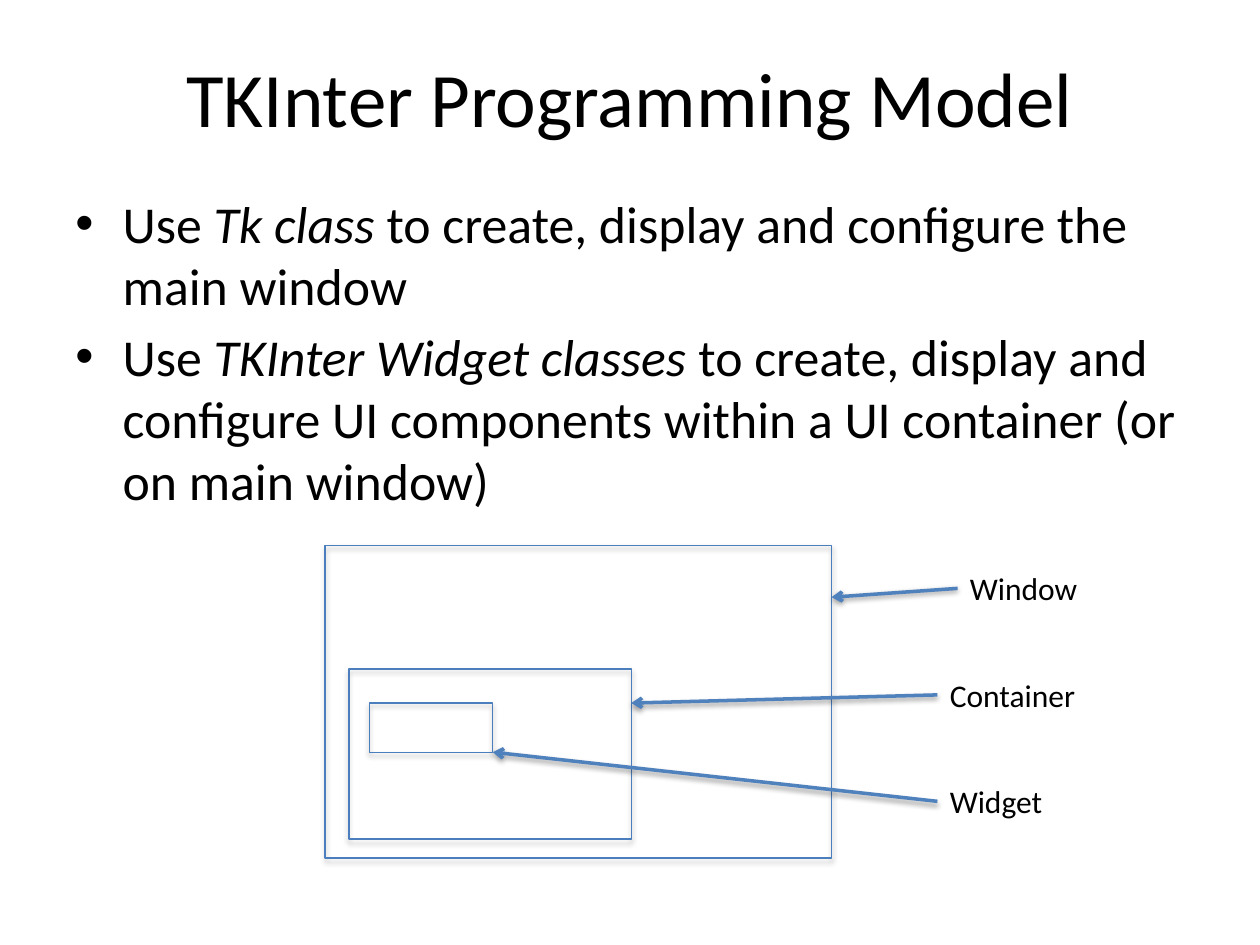
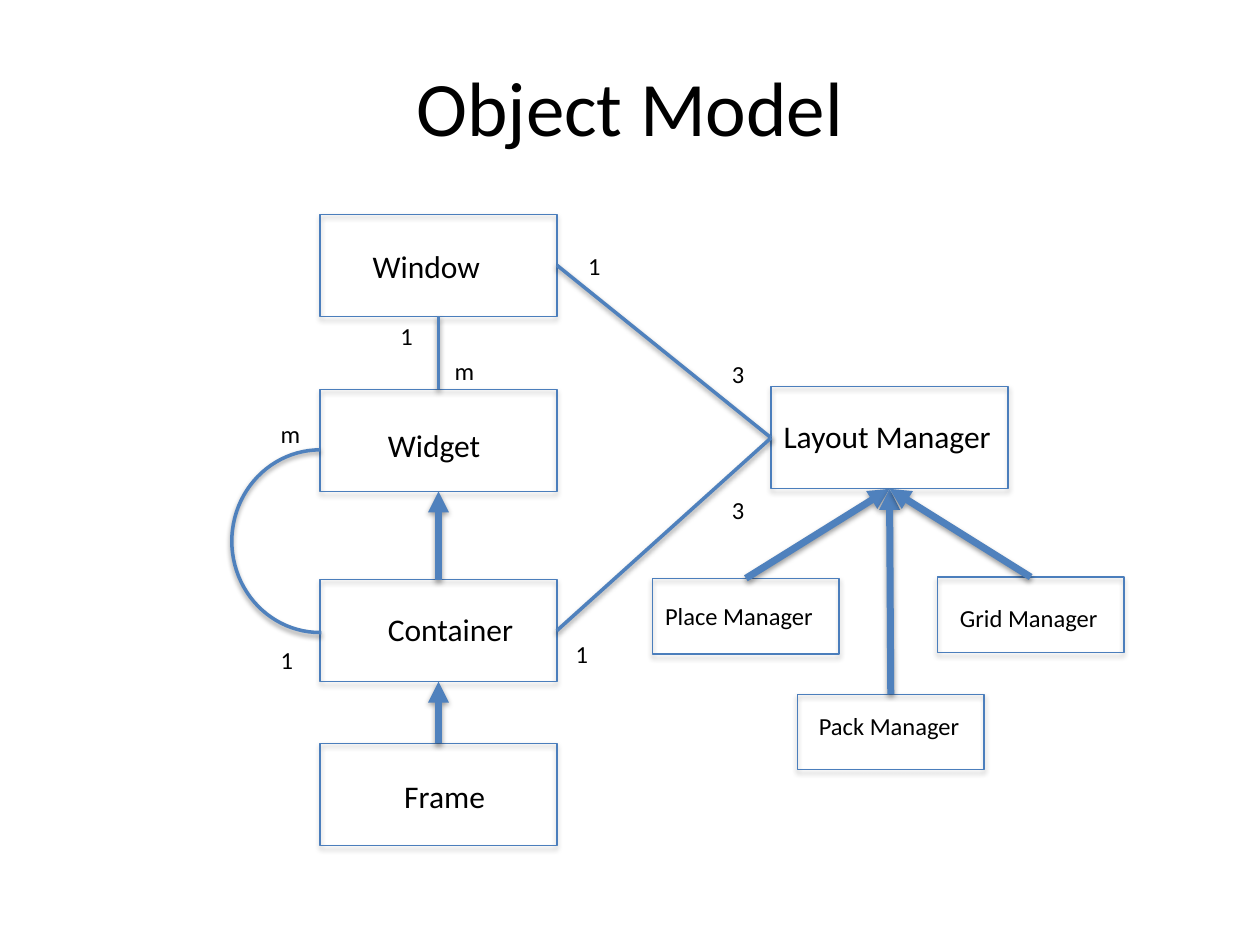
import dataclasses
import lxml.etree
import pptx
import pptx.dml.color
import pptx.enum.shapes
import pptx.enum.text
import pptx.oxml
import pptx.oxml.ns
import pptx.util

COLOURS = {"text": "000000", "outline": "4B7EBC", "link": "4F81BD", "shadow": "000000", "page": "FFFFFF"}
FONT = "Calibri"
SLIDE_WIDTH = pptx.util.Inches(10)
SLIDE_HEIGHT = pptx.util.Inches(7.5)
COLUMN = SLIDE_WIDTH / 100
ROW = SLIDE_HEIGHT / 75
BODY_SIZE, LABEL_SIZE, NOTE_SIZE = 29.6, 18, 14
LABEL_ROWS, NOTE_ROWS = 4, 3.4
TOP, LEFT, BOTTOM, RIGHT = range(4)


@dataclasses.dataclass
class Box:
    left: float
    top: float
    width: float
    height: float

    def inner(self, left, top, width, height):
        return Box(self.left + left, self.top + top, width, height)

    def point(self, left, top):
        return round((self.left + left) * COLUMN), round((self.top + top) * ROW)

    def frame(self):
        return (*self.point(0, 0), round(self.width * COLUMN), round(self.height * ROW))


def colour(name):
    return pptx.dml.color.RGBColor.from_string(COLOURS[name])


def add_child(parent, tag, **attributes):
    child = lxml.etree.SubElement(parent, pptx.oxml.ns.qn(tag))
    for name, value in attributes.items():
        child.set(name, str(value))
    return child


def add_shadow(shape, opacity, distance):
    effects = add_child(shape._element.spPr, "a:effectLst")
    shadow = add_child(effects, "a:outerShdw", blurRad=pptx.util.Pt(3.1), dist=pptx.util.Pt(distance),
                       dir=5400000, rotWithShape=0)
    tint = add_child(shadow, "a:srgbClr", val=COLOURS["shadow"])
    add_child(tint, "a:alpha", val=opacity * 1000)


def style_line(shape, name, weight):
    shape.line.color.rgb = colour(name)
    shape.line.width = pptx.util.Pt(weight)


def add_text(page, box, paragraphs, size=LABEL_SIZE, align="LEFT", anchor="TOP", bullet=None, before=0):
    text_box = page.shapes.add_textbox(*box.frame())
    frame = text_box.text_frame
    frame.word_wrap = True
    frame.vertical_anchor = getattr(pptx.enum.text.MSO_ANCHOR, anchor)
    for index, spans in enumerate(paragraphs):
        para = frame.add_paragraph() if index else frame.paragraphs[0]
        para.alignment = getattr(pptx.enum.text.PP_ALIGN, align)
        para.space_before = pptx.util.Pt(before)
        if bullet:
            settings = para._p.get_or_add_pPr()
            indent = round(3.75 * COLUMN)
            settings.set("marL", str(indent))
            settings.set("indent", str(-indent))
            add_child(settings, "a:buFont", typeface="Arial")
            add_child(settings, "a:buChar", char=bullet)
        for text, italic in spans:
            span = para.add_run()
            span.text = text
            span.font.name = FONT
            span.font.size = pptx.util.Pt(size)
            span.font.italic = italic
            span.font.color.rgb = colour("text")


def add_label(page, box, text, **style):
    add_text(page, box, [[(text, False)]], **style)


def add_outline(page, box):
    rectangle = page.shapes.add_shape(pptx.enum.shapes.MSO_SHAPE.RECTANGLE, *box.frame())
    rectangle.fill.background()
    style_line(rectangle, "outline", 0.75)
    add_shadow(rectangle, 35, 1.8)
    return rectangle


def is_point(place):
    return isinstance(place[0], int)


def end_point(place):
    return place if is_point(place) else (place[0].left, place[0].top)


def add_link(page, start, end, weight=2, head=None):
    link = page.shapes.add_connector(pptx.enum.shapes.MSO_CONNECTOR.STRAIGHT, *end_point(start), *end_point(end))
    if not is_point(start):
        link.begin_connect(*start)
    if not is_point(end):
        link.end_connect(*end)
    style_line(link, "link", weight)
    if head:
        add_child(link.line._get_or_add_ln(), "a:tailEnd", type=head)
    add_shadow(link, 38, 1.6)


def add_page(deck, title, title_box):
    page = deck.slides.add_slide(deck.slide_layouts[6])
    page.background.fill.solid()
    page.background.fill.fore_color.rgb = colour("page")
    add_label(page, title_box, title, size=44, align="CENTER", anchor="MIDDLE")
    return page


def place_points(page, box):
    add_text(page, box, [
        [("Use ", False), ("Tk class ", True),
         ("to create, display and configure the main window", False)],
        [("Use ", False), ("TKInter Widget classes ", True),
         ("to create, display and configure UI components within a UI container (or on main window)", False)],
    ], size=BODY_SIZE, bullet="•", before=5)


def place_nesting(page, box):
    for outline in ((0, 0, 40.2, 24.8), (1.9, 9.8, 22.4, 13.5), (3.5, 12.5, 9.8, 3.9)):
        add_outline(page, box.inner(*outline))
    labels = (("Window", 50.2, 1.4, (40.2, 4.1)),
              ("Container", 48.6, 9.85, (24.3, 12.5)),
              ("Widget", 48.6, 18.3, (13.3, 16.4)))
    for name, left, top, target in labels:
        add_label(page, box.inner(left, top, 12.6, LABEL_ROWS), name)
        add_link(page, box.point(left, top + LABEL_ROWS / 2), box.point(*target), head="arrow")


def place_classes(page, box):
    classes = {}
    for name, top, text_left, text_top, text_width in (
            ("Window", 0, 10.2, 2.1, 12.5), ("Widget", 13.9, 11.4, 2.4, 10),
            ("Container", 29, 11.4, 1.9, 12.3), ("Frame", 42, 12.7, 2.2, 8.8)):
        classes[name] = add_outline(page, box.inner(7, top, 18.8, 8.1))
        add_label(page, box.inner(text_left, top + text_top, text_width, LABEL_ROWS), name)
    add_link(page, (classes["Widget"], TOP), (classes["Window"], BOTTOM))
    for child, parent in (("Container", "Widget"), ("Frame", "Container")):
        add_link(page, (classes[child], TOP), (classes[parent], BOTTOM), weight=4, head="triangle")
    loop = page.shapes.add_shape(pptx.enum.shapes.MSO_SHAPE.ARC, *box.inner(0, 18.7, 14, 14.5).frame())
    loop.adjustments[0], loop.adjustments[1] = 162, 54.47
    loop._element.spPr.xfrm.set("flipH", "1")
    loop.fill.background()
    style_line(loop, "link", 2)
    add_shadow(loop, 38, 1.6)
    return classes


def place_managers(page, box):
    layout = add_outline(page, box.inner(9.4, 0, 18.8, 8.1))
    add_label(page, box.inner(9.4, 1.9, 21.5, LABEL_ROWS), "Layout Manager")
    for name, left, top, text_left, text_top, text_width in (
            ("Place Manager", 0, 15.2, 0, 1.3, 14.9),
            ("Pack Manager", 11.5, 24.4, 0.7, 0.8, 13.5),
            ("Grid Manager", 22.6, 15.1, 0.8, 1.6, 13.5)):
        manager = add_outline(page, box.inner(left, top, 14.8, 6))
        add_label(page, box.inner(left + text_left, top + text_top, text_width, NOTE_ROWS), name, size=NOTE_SIZE)
        add_link(page, (manager, TOP), (layout, BOTTOM), weight=4, head="triangle")
    return layout


def place_counts(page, box):
    for text, left, top in (("1", 12.4, 8), ("m", 16.7, 10.8), ("1", 2.9, 33.7), ("m", 2.9, 15.8),
                            ("1", 27.3, 2.4), ("3", 38.7, 11), ("1", 26.3, 33.2), ("3", 38.7, 21.8)):
        add_label(page, box.inner(left, top, 4, NOTE_ROWS), text, size=NOTE_SIZE)


def build_programming_model(deck):
    page = add_page(deck, "TKInter Programming Model", Box(5, 2.8, 90, 9.8))
    place_points(page, Box(5, 14.7, 90, 25.8))
    place_nesting(page, Box(25.8, 43.3, 62.8, 24.8))


def build_object_model(deck):
    page = add_page(deck, "Object Model", Box(5, 3, 90, 10.8))
    class_box = Box(18.4, 17, 25.8, 50.1)
    classes = place_classes(page, class_box)
    layout = place_managers(page, Box(51.8, 30.7, 37.4, 30.4))
    for name in ("Window", "Container"):
        add_link(page, (layout, LEFT), (classes[name], RIGHT))
    place_counts(page, class_box)


def main():
    deck = pptx.Presentation()
    deck.slide_width, deck.slide_height = SLIDE_WIDTH, SLIDE_HEIGHT
    build_programming_model(deck)
    build_object_model(deck)
    deck.save("out.pptx")


if __name__ == "__main__":
    main()
